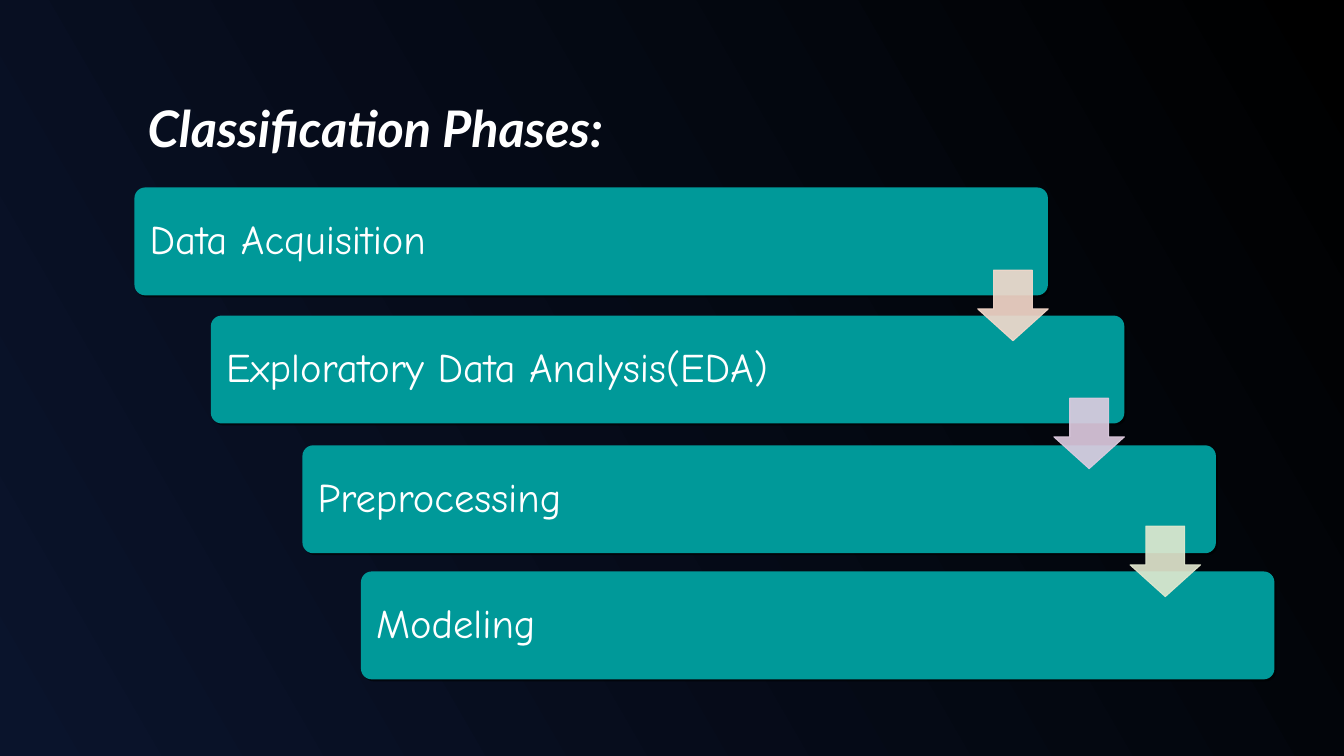
"""Build the classification phases slide with its descending staircase of steps."""
from lxml import etree
from pptx import Presentation
from pptx.dml.color import RGBColor
from pptx.enum.shapes import MSO_SHAPE
from pptx.enum.text import MSO_ANCHOR, MSO_AUTO_SIZE, PP_ALIGN
from pptx.oxml.ns import qn
from pptx.util import Pt

ROUNDED = MSO_SHAPE.ROUNDED_RECTANGLE
DOWN_ARROW = MSO_SHAPE.DOWN_ARROW
BOTTOM, MIDDLE = MSO_ANCHOR.BOTTOM, MSO_ANCHOR.MIDDLE
NO_AUTOFIT = MSO_AUTO_SIZE.NONE
LEFT = PP_ALIGN.LEFT

TITLE_ONLY = 5
BAR_WIDTH, BAR_HEIGHT = 652.5, 77.1
ARROW_SIZE = 50.4
ARROW_LEFT, ARROW_TOP = 698.4, 193
ARROW_STEP_X, ARROW_STEP_Y = 54.4, 91.4

PHASES = [
    ("Data Acquisition", 96, 133.9),
    ("Exploratory Data Analysis(EDA)", 150.6, 225.4),
    ("Preprocessing", 216, 318.1),
    ("Modeling", 257.8, 408.2),
]
ARROW_COLORS = ["F7DACC", "E0CCE1", "E3E9D0"]


def color(value):
    return RGBColor.from_string(value)


def write_text(shape, text, font_name, size, anchor):
    frame = shape.text_frame
    frame.text = text
    frame.word_wrap = True
    frame.auto_size = NO_AUTOFIT
    frame.vertical_anchor = anchor
    paragraph = frame.paragraphs[0]
    paragraph.alignment = LEFT
    paragraph.line_spacing = 0.9
    font = paragraph.runs[0].font
    font.name = font_name
    font.size = Pt(size)
    font.color.rgb = color("FFFFFF")
    return font


presentation = Presentation()
presentation.slide_width = Pt(960)
presentation.slide_height = Pt(540)
slide = presentation.slides.add_slide(presentation.slide_layouts[TITLE_ONLY])

background = slide.background.fill
background.gradient()
background.gradient_angle = 210
for stop, stop_color in zip(background.gradient_stops, ["000000", "0A142C"]):
    stop.color.rgb = color(stop_color)

title = slide.shapes.title
title.left, title.top, title.width, title.height = Pt(96), Pt(21.6), Pt(816), Pt(96.5)
title_font = write_text(title, "Classification Phases:", "Lato", 36, BOTTOM)
title_font.bold = True
title_font.italic = True
title.text_frame.margin_left = title.text_frame.margin_right = Pt(9.4)
title.text_frame.margin_top = title.text_frame.margin_bottom = Pt(5)

for phase, left, top in PHASES:
    bar = slide.shapes.add_shape(ROUNDED, Pt(left), Pt(top), Pt(BAR_WIDTH), Pt(BAR_HEIGHT))
    bar.adjustments[0] = 0.1
    bar.fill.solid()
    bar.fill.fore_color.rgb = color("009999")
    bar.line.fill.background()
    bar.shadow.inherit = False
    effects = bar.element.spPr.find(qn("a:effectLst"))
    shadow = etree.SubElement(effects, qn("a:outerShdw"), dist=str(Pt(2)), dir="2700000")
    shadow_color = etree.SubElement(shadow, qn("a:srgbClr"), val="000000")
    etree.SubElement(shadow_color, qn("a:alpha"), val="60000")
    write_text(bar, phase, "Comic Neue", 29, MIDDLE)
    bar.text_frame.margin_left = Pt(8.6)
    bar.text_frame.margin_right = Pt(100)
    bar.text_frame.paragraphs[0].space_after = Pt(12)

for index, arrow_color in enumerate(ARROW_COLORS):
    left = ARROW_LEFT + index * ARROW_STEP_X
    top = ARROW_TOP + index * ARROW_STEP_Y
    arrow = slide.shapes.add_shape(DOWN_ARROW, Pt(left), Pt(top), Pt(ARROW_SIZE), Pt(ARROW_SIZE))
    arrow.adjustments[0] = 0.55
    arrow.adjustments[1] = 0.45
    arrow.fill.solid()
    arrow.fill.fore_color.rgb = color(arrow_color)
    arrow.line.color.rgb = color(arrow_color)
    arrow.line.width = Pt(0.75)
    arrow.shadow.inherit = False
    for color_element in arrow.element.spPr.iter(qn("a:srgbClr")):
        etree.SubElement(color_element, qn("a:alpha"), val="90000")

presentation.save("out.pptx")
